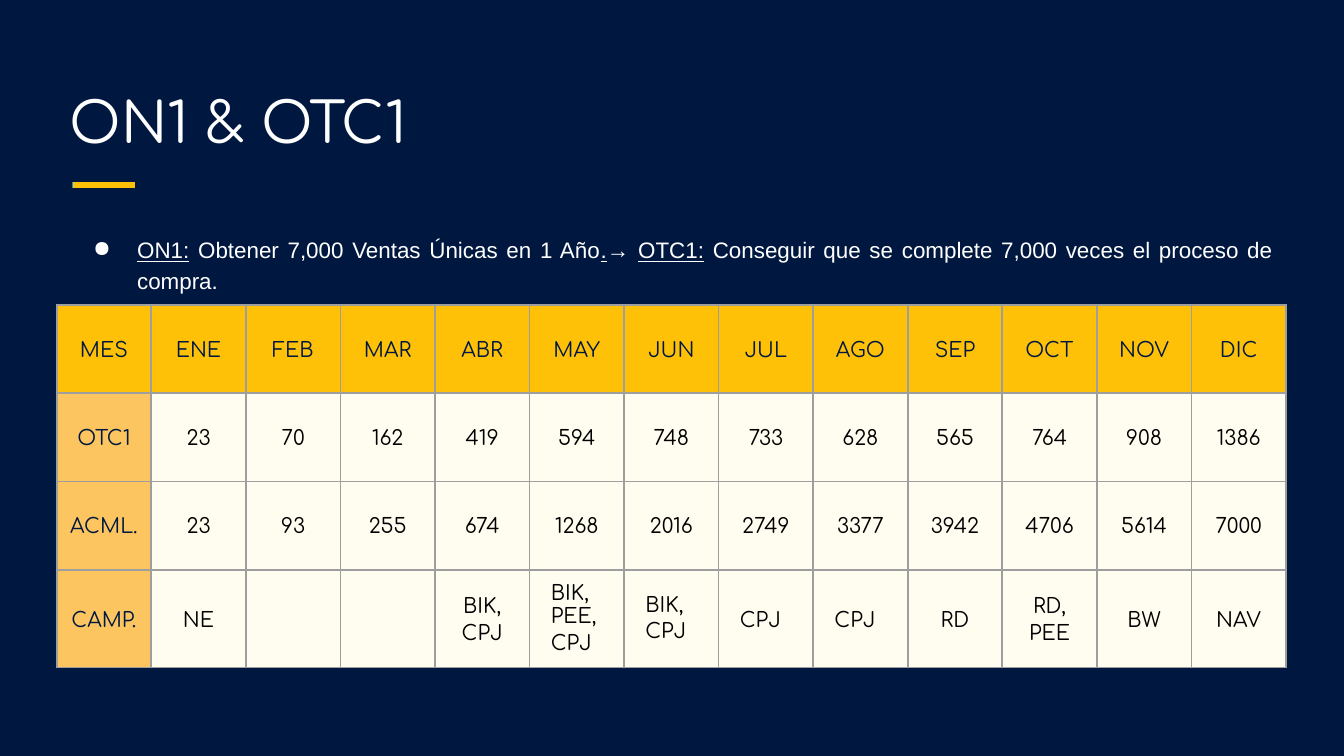
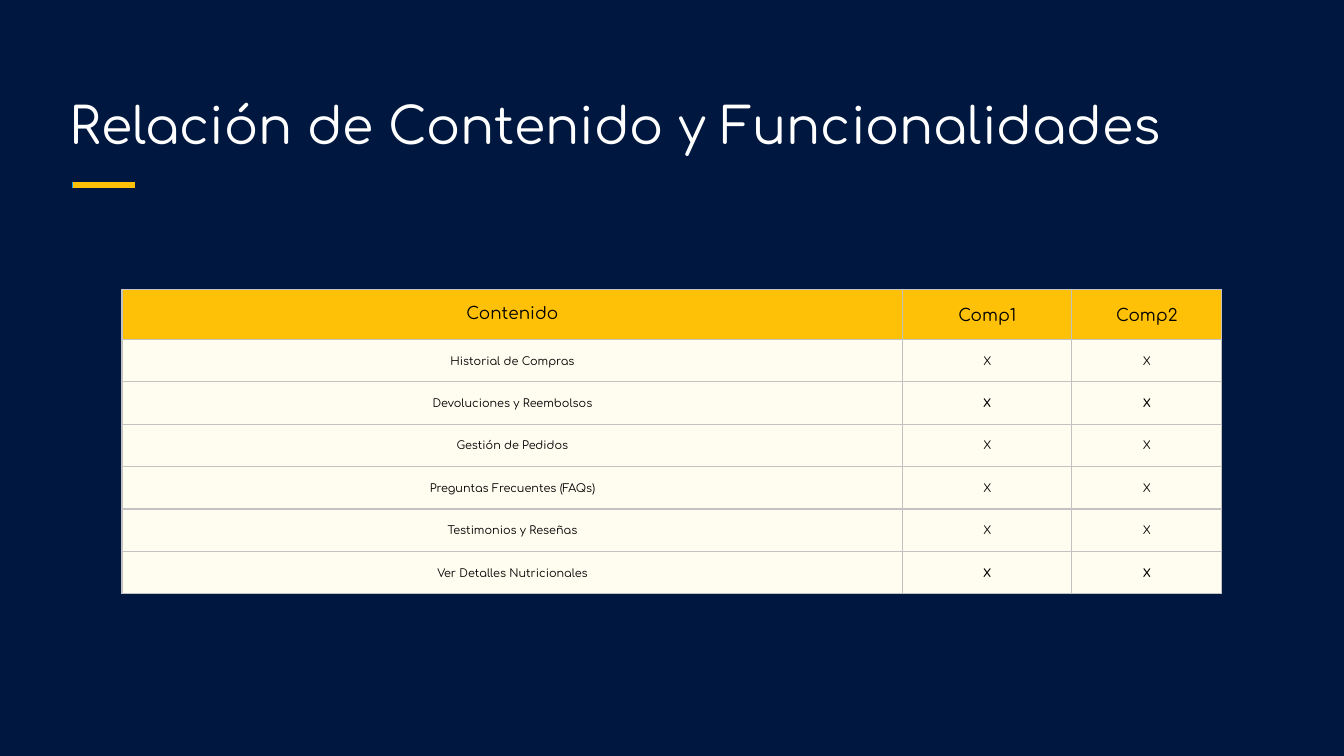
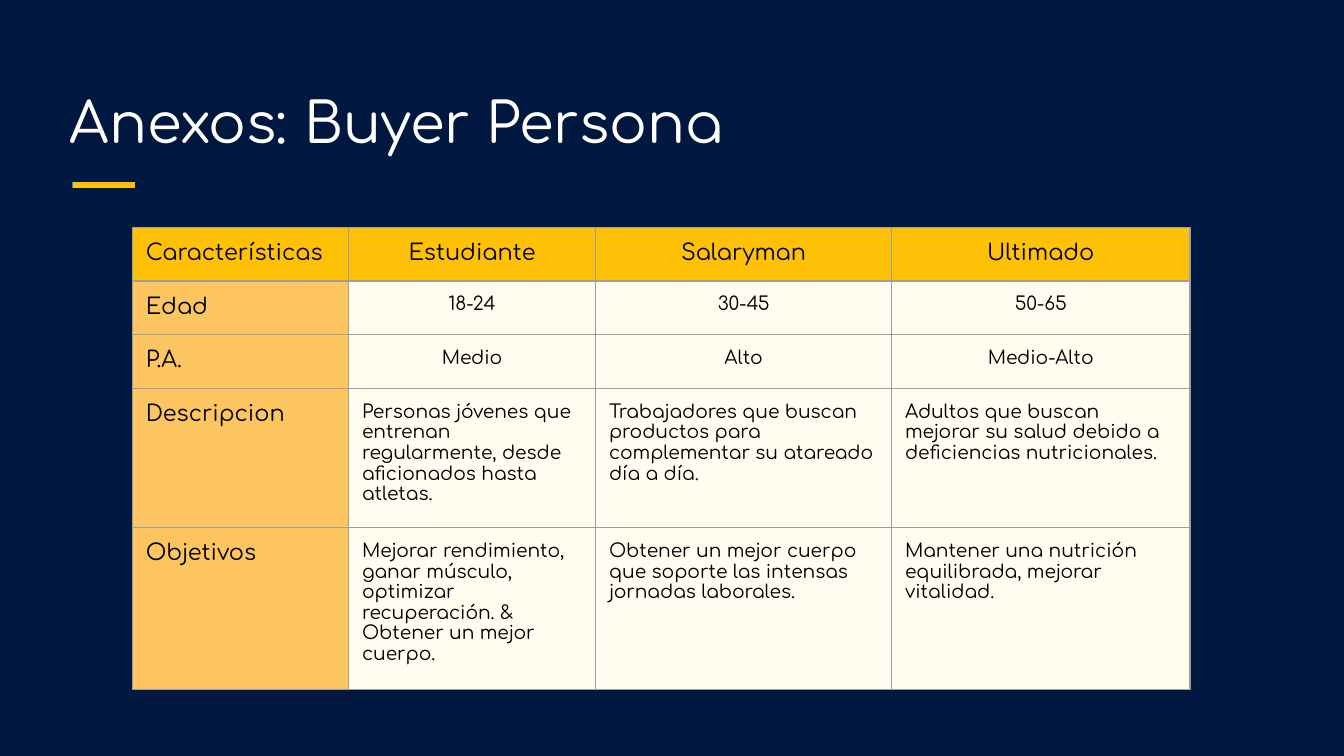
"""Build three table slides on sales goals, content and buyer personas."""
from dataclasses import dataclass

from lxml.etree import SubElement as Sub
from pptx import Presentation
from pptx.dml.color import RGBColor as Rgb
from pptx.enum.shapes import MSO_CONNECTOR as Link
from pptx.enum.text import MSO_ANCHOR as Anchor, PP_ALIGN as Align
from pptx.oxml.ns import qn
from pptx.util import Pt

GOALS = [
    ("ON1:", True),
    (" Obtener 7,000 Ventas Únicas en 1 Año", False),
    (".", True),
    ("→ ", False),
    ("OTC1:", True),
    (" Conseguir que se complete 7,000 veces el proceso de compra.", False),
]
MONTHS = [
    ["MES", "ENE", "FEB", "MAR", "ABR", "MAY", "JUN",
     "JUL", "AGO", "SEP", "OCT", "NOV", "DIC"],
    ["OTC1", "23", "70", "162", "419", "594", "748",
     "733", "628", "565", "764", "908", "1386"],
    ["ACML.", "23", "93", "255", "674", "1268", "2016",
     "2749", "3377", "3942", "4706", "5614", "7000"],
    ["CAMP.", "NE", "", "", "BIK,\nCPJ", "BIK,\nPEE,\nCPJ", "BIK,\nCPJ",
     "CPJ", "CPJ", "RD", "RD,\nPEE", "BW", "NAV"],
]
TOPICS = [
    "Historial de Compras",
    "Devoluciones y Reembolsos",
    "Gestión de Pedidos",
    "Preguntas Frecuentes (FAQs)",
    "Testimonios y Reseñas",
    "Ver Detalles Nutricionales",
]
CONTENT = [["Contenido", "Comp1", "Comp2"]] + [[topic, "X", "X"] for topic in TOPICS]
BUYERS = [
    ["Características", "Estudiante", "Salaryman", "Ultimado"],
    ["Edad", "18-24", "30-45", "50-65"],
    ["P.A.", "Medio", "Alto", "Medio-Alto"],
    ["Descripcion",
     "Personas jóvenes que entrenan regularmente, desde aficionados hasta atletas.",
     "Trabajadores que buscan productos para complementar su atareado día a día.",
     "Adultos que buscan mejorar su salud debido a deficiencias nutricionales."],
    ["Objetivos",
     "Mejorar rendimiento, ganar músculo, optimizar recuperación. "
     "& Obtener un mejor cuerpo.",
     "Obtener un mejor cuerpo que soporte las intensas jornadas laborales.",
     "Mantener una nutrición equilibrada, mejorar vitalidad."],
]


@dataclass(frozen=True)
class Theme:
    navy: str = "001840"
    white: str = "FFFFFF"
    black: str = "000000"
    blue: str = "039BE5"
    gold: str = "FFC107"
    amber: str = "FDC55F"
    cream: str = "FFFDF0"
    gray: str = "9E9E9E"
    silver: str = "C2C2C2"
    head: str = "Comfortaa"
    body: str = "Arial"
    title: float = 30
    long: float = 27
    text: float = 12
    month: float = 11
    cell: float = 10
    label: float = 9
    small: float = 6


T = Theme()
LEFT, WIDE = 30.4, 658.8


@dataclass
class Look:
    size: float
    fill: str
    color: str = T.black
    align: Align = Align.CENTER
    space: float = 1.15
    bold: bool = False
    shift: float = 0


def style(para, size, color, face=T.head, bold=False):
    font = para.font
    font.size, font.name, font.bold = Pt(size), face, bold
    font.color.rgb = Rgb.from_string(color)


def box(slide, top, high, anchor):
    frame = slide.shapes.add_textbox(Pt(LEFT), Pt(top), Pt(WIDE), Pt(high)).text_frame
    frame.word_wrap = True
    frame.vertical_anchor = anchor
    frame.margin_left = frame.margin_right = Pt(7.2)
    frame.margin_top = frame.margin_bottom = Pt(7.2)
    return frame


def start(deck, title, size=T.title):
    slide = deck.slides.add_slide(deck.slide_layouts[6])
    for left, color in ((38.6, T.blue), (39.4, T.gold)):
        rule = slide.shapes.add_connector(
            Link.STRAIGHT, Pt(left), Pt(99.2), Pt(left + 33), Pt(99.2))
        rule.line.width = Pt(3)
        rule.line.color.rgb = Rgb.from_string(color)
        Sub(rule._element.spPr, qn("a:effectLst"))
    para = box(slide, 36, 54, Anchor.BOTTOM).paragraphs[0]
    para.text = title
    style(para, size, T.white)
    return slide


def goals(slide):
    para = box(slide, 117.4, 242.6, Anchor.TOP).paragraphs[0]
    props = para._p.get_or_add_pPr()
    props.set("marL", str(Pt(36)))
    props.set("indent", str(Pt(-23.6)))
    Sub(Sub(props, qn("a:buClr")), qn("a:srgbClr"), val=T.white)
    Sub(props, qn("a:buChar"), char="●")
    para.alignment, para.line_spacing = Align.JUSTIFY, 1.15
    style(para, T.text, T.white, T.body)
    for words, under in GOALS:
        run = para.add_run()
        run.text = words
        run.font.underline = under


def border(cell, color, width):
    props = cell._tc.get_or_add_tcPr()
    for spot, side in enumerate(("a:lnL", "a:lnR", "a:lnT", "a:lnB")):
        line = props.makeelement(qn(side), {"w": str(Pt(width))})
        Sub(Sub(line, qn("a:solidFill")), qn("a:srgbClr"), val=color)
        props.insert(spot, line)


def grid(slide, rows, place, cols, highs, edge, pads, anchor, look):
    frame = slide.shapes.add_table(
        len(rows), len(cols), *map(Pt, place), Pt(sum(cols)), Pt(sum(highs)))
    table = frame.table
    table.first_row = table.horz_banding = False
    for col, wide in zip(table.columns, cols):
        col.width = Pt(wide)
    for row, high in zip(table.rows, highs):
        row.height = Pt(high)
    for r, row in enumerate(rows):
        for c, words in enumerate(row):
            cell, kind = table.cell(r, c), look(r, c)
            cell.fill.solid()
            cell.fill.fore_color.rgb = Rgb.from_string(kind.fill)
            border(cell, *edge)
            cell.vertical_anchor = anchor
            cell.margin_left = Pt(pads[0] + kind.shift)
            cell.margin_right = Pt(pads[0])
            cell.margin_top = cell.margin_bottom = Pt(pads[1])
            cell.text = words
            paras = cell.text_frame.paragraphs
            for para in paras:
                tight = kind.shift and para is not paras[-1]
                para.alignment = kind.align
                para.line_spacing = 1.0 if tight else kind.space
                style(para, kind.size, kind.color, bold=kind.bold)


def tint(r, c):
    return T.gold if r == 0 else T.amber if c == 0 else T.cream


def month(r, c):
    kind = Look(T.month, tint(r, c), T.black if r and c else T.navy)
    if r == 3 and 5 <= c <= 8:
        kind.align, kind.shift = Align.LEFT, 6
    return kind


def topic(r, c):
    if r == 0:
        return Look(T.label, T.gold, space=1.15 if c else 1.0)
    return Look(T.small, T.cream, bold=c > 0 and r in (2, 6))


def buyer(r, c):
    size = T.cell if r and c else T.text
    align = Align.CENTER if c and r < 3 else Align.LEFT
    return Look(size, tint(r, c), align=align, space=1.0)


def main():
    deck = Presentation()
    deck.slide_width, deck.slide_height = Pt(720), Pt(405)
    back = deck.slide_master.background.fill
    back.solid()
    back.fore_color.rgb = Rgb.from_string(T.navy)

    slide = start(deck, "ON1 & OTC1")
    goals(slide)
    count = len(MONTHS[0])
    grid(slide, MONTHS, (LEFT, 163.4), [WIDE / count] * count, [47.3] * 4,
         (T.gray, 1), (5.4, 5.4), Anchor.MIDDLE, month)

    slide = start(deck, "Relación de Contenido y Funcionalidades", T.long)
    grid(slide, CONTENT, (65.4, 155), [418.2, 90.6, 80.4], [20.2] * 7,
         (T.silver, 0.75), (2.25, 7.2), Anchor.MIDDLE, topic)

    slide = start(deck, "Anexos: Buyer Persona")
    grid(slide, BUYERS, (70.9, 121.7), [115.9, 132.3, 158.6, 159.8],
         [10.8, 17.3, 17.3, 41, 31.7],
         (T.gray, 0.75), (7.2, 7.2), Anchor.TOP, buyer)

    deck.save("out.pptx")


if __name__ == "__main__":
    main()
